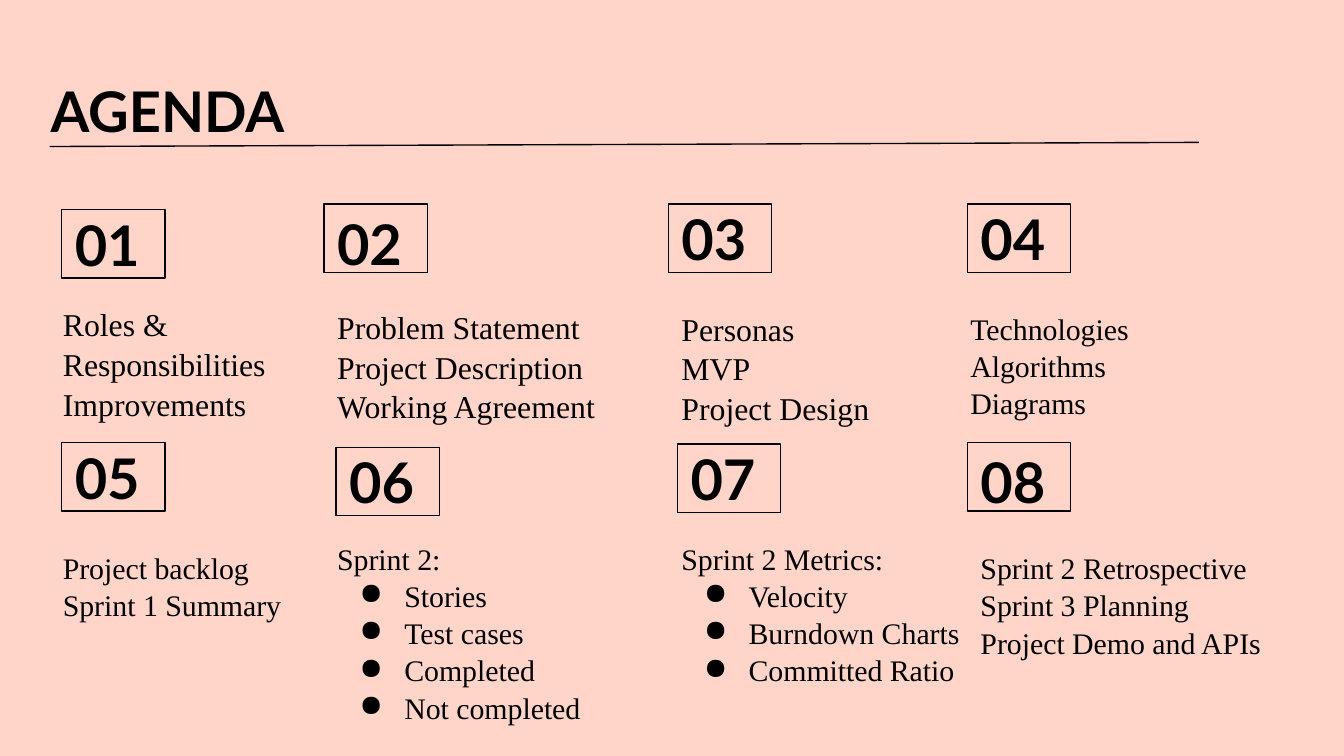
from lxml import etree
from pptx import Presentation
from pptx.dml.color import RGBColor
from pptx.enum.shapes import MSO_CONNECTOR, MSO_SHAPE
from pptx.enum.text import MSO_ANCHOR, PP_ALIGN
from pptx.oxml.ns import qn
from pptx.util import Pt

BACKGROUND = RGBColor(0xFF, 0xD5, 0xCA)
BLACK = RGBColor(0, 0, 0)
PROCESS = MSO_SHAPE.FLOWCHART_PROCESS
STRAIGHT = MSO_CONNECTOR.STRAIGHT
MIDDLE = MSO_ANCHOR.MIDDLE
LEFT = PP_ALIGN.LEFT
HEADING_FONT, BODY_FONT = "Lato", "Times New Roman"
INSET = 7.2
BADGE_W, BADGE_H = 55.4, 36.7
LINE_SPACING = 1.04

# number, badge (left, top, drop of the number below centre),
# topics (left, top, width, height), text size, lines, bulleted lines
SECTIONS = [
    ("01", (33, 112.3, 0), (26.6, 155.5, 126, 82), 17,
     ["Roles & Responsibilities", "Improvements"], []),
    ("02", (173.5, 109.4, 2.5), (173.5, 157, 168, 75), 17,
     ["Problem Statement", "Project Description", "Working Agreement"], []),
    ("03", (358, 109.4, 0), (358, 157.7, 145, 75.6), 17,
     ["Personas", "MVP", "Project Design"], []),
    ("04", (518.2, 109.4, 0), (512.8, 158.4, 202, 75.6), 16,
     ["Technologies", "Algorithms", "Diagrams"], []),
    ("05", (33, 237.1, 0), (26.6, 286.6, 183, 101), 16,
     ["Project backlog", "Sprint 1 Summary"], []),
    ("06", (180, 239.6, 0), (173.5, 281.5, 173, 93), 16,
     ["Sprint 2:"], ["Stories", "Test cases", "Completed", "Not completed"]),
    ("07", (362.9, 237.8, 0), (358, 281.5, 163.4, 93), 16,
     ["Sprint 2 Metrics:"], ["Velocity", "Burndown Charts", "Committed Ratio"]),
    ("08", (518.2, 237.1, 2.5), (518.2, 286.6, 191.5, 73), 16,
     ["Sprint 2 Retrospective", "Sprint 3 Planning", "Project Demo and APIs"], []),
]


def set_insets(frame):
    frame.word_wrap = True
    frame.margin_left = frame.margin_right = Pt(INSET)
    frame.margin_top = frame.margin_bottom = Pt(INSET)


def style(paragraph, font_name, size, bold=False):
    paragraph.alignment = LEFT
    font = paragraph.font
    font.name, font.size, font.bold = font_name, Pt(size), bold
    font.color.rgb = BLACK


def add_text(slide, box, lines, font_name, size, bold=False, bullets=()):
    frame = slide.shapes.add_textbox(*map(Pt, box)).text_frame
    set_insets(frame)
    frame.text = "\n".join([*lines, *bullets])
    for index, paragraph in enumerate(frame.paragraphs):
        if index >= len(lines):
            add_bullet(paragraph)
        style(paragraph, font_name, size, bold)
        if font_name == BODY_FONT:
            paragraph.line_spacing = LINE_SPACING


def add_bullet(paragraph):
    properties = paragraph._p.get_or_add_pPr()
    properties.set("marL", str(Pt(36)))
    properties.set("indent", str(-Pt(24)))
    etree.SubElement(properties, qn("a:buChar")).set("char", "●")


def add_badge(slide, number, left, top, drop):
    badge = slide.shapes.add_shape(PROCESS, Pt(left), Pt(top), Pt(BADGE_W), Pt(BADGE_H))
    badge.shadow.inherit = False
    badge.fill.background()
    badge.line.color.rgb = BLACK
    badge.line.width = Pt(0.75)
    frame = badge.text_frame
    set_insets(frame)
    frame.margin_top = Pt(INSET + 2 * drop)
    frame.vertical_anchor = MIDDLE
    frame.text = number
    style(frame.paragraphs[0], HEADING_FONT, 30, bold=True)


presentation = Presentation()
presentation.slide_width, presentation.slide_height = Pt(720), Pt(405)
slide = presentation.slides.add_slide(presentation.slide_layouts[6])
slide.background.fill.solid()
slide.background.fill.fore_color.rgb = BACKGROUND

# Title and rule
add_text(slide, (20, 33.8, 607, 45.4), ["AGENDA"], HEADING_FONT, 30, bold=True)
rule = slide.shapes.add_connector(STRAIGHT, Pt(26.6), Pt(78.5), Pt(642.2), Pt(76.3))
rule.line.color.rgb = BLACK
rule.line.width = Pt(0.75)
etree.SubElement(rule._element.spPr, qn("a:effectLst"))

# Numbered sections
for number, badge, topics_box, size, lines, bullets in SECTIONS:
    add_badge(slide, number, *badge)
    add_text(slide, topics_box, lines, BODY_FONT, size, bullets=bullets)

presentation.save("out.pptx")
